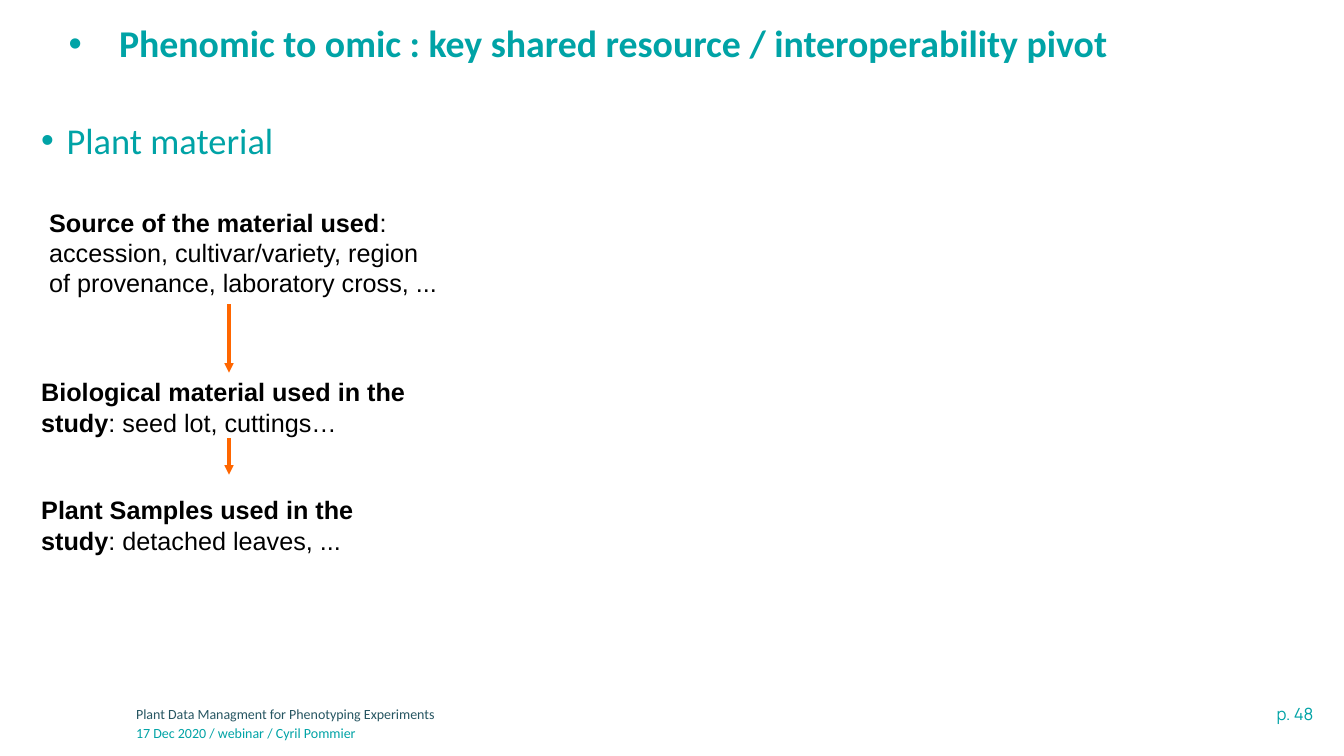
from lxml.etree import SubElement
from pptx import Presentation
from pptx.dml.color import RGBColor
from pptx.enum.shapes import MSO_CONNECTOR
from pptx.enum.text import MSO_ANCHOR, PP_ALIGN
from pptx.oxml.ns import qn
from pptx.util import Cm, Pt

TEAL, SLATE, BLACK, ORANGE = "00A3A6", "275662", "000000", "FF6600"


def colour(value):
    """Turn a hex string into a colour."""
    return RGBColor.from_string(value)


def format_span(span, size, font, shade, bold=False):
    """Set the look of one run."""
    span.font.size = Pt(size)
    span.font.name = font
    span.font.bold = bold
    span.font.color.rgb = colour(shade)


def add_box(page, left, top, width, height):
    """Add a wrapping text box, in centimetres."""
    box = page.shapes.add_textbox(Cm(left), Cm(top), Cm(width), Cm(height))
    box.text_frame.word_wrap = True
    return box


def format_bullet(para, indent, size, bold):
    """Give a paragraph a hanging bullet and the heading font."""
    properties = para._p.get_or_add_pPr()
    properties.set("marL", str(Cm(indent)))
    properties.set("indent", str(-Cm(indent)))
    SubElement(properties, qn("a:buFont")).set("typeface", "Arial")
    SubElement(properties, qn("a:buChar")).set("char", "•")
    para.line_spacing = 0.9
    para.space_before = Pt(0)
    para.alignment = PP_ALIGN.LEFT
    format_span(para.runs[0], size, "Calibri", TEAL, bold)


def add_title(page, text, left, top, width, height):
    """Place and format the title placeholder."""
    title = page.shapes.title
    title.left, title.top = Cm(left), Cm(top)
    title.width, title.height = Cm(width), Cm(height)
    frame = title.text_frame
    frame.text = text
    frame.word_wrap = True
    frame.margin_left = 0
    frame.vertical_anchor = MSO_ANCHOR.MIDDLE
    format_bullet(frame.paragraphs[0], 1.27, 27, True)


def add_topic(page, text, left, top, width, height):
    """Add the bulleted topic of the slide."""
    frame = add_box(page, left, top, width, height).text_frame
    frame.text = text
    format_bullet(frame.paragraphs[0], 0.64, 26, False)


def add_material(page, term, examples, left, top, width, height):
    """Add a bold term followed by its examples."""
    para = add_box(page, left, top, width, height).text_frame.paragraphs[0]
    for text, bold in ((term, True), (examples, False)):
        span = para.add_run()
        span.text = text
        format_span(span, 18, "Arial", BLACK, bold)


def add_arrow(page, x, top, bottom):
    """Add a downward arrow."""
    arrow = page.shapes.add_connector(
        MSO_CONNECTOR.STRAIGHT, Cm(x), Cm(top), Cm(x), Cm(bottom))
    arrow.line.color.rgb = colour(ORANGE)
    arrow.line.width = Pt(2.25)
    SubElement(arrow.line._get_or_add_ln(), qn("a:tailEnd")).set("type", "triangle")
    SubElement(arrow._element.spPr, qn("a:effectLst"))


def add_chain(page, left, top):
    """Add the chain from source to samples, joined by arrows."""
    add_material(page, "Source of the material used",
                 ": accession, cultivar/variety, region of provenance, laboratory cross, ...",
                 left + 0.2, top, 10.41, 2.57)
    add_material(page, "Biological material used in the study",
                 ": seed lot, cuttings…", left, top + 4.27, 10.35, 1.73)
    add_material(page, "Plant Samples used in the study",
                 ": detached leaves, ...", left, top + 7.24, 10.35, 1.73)
    for start, end in ((2.57, 4.29), (5.94, 6.86)):
        add_arrow(page, left + 4.98, top + start, top + end)


def add_footer(page, left, top):
    """Add the two footer lines and the page number."""
    lines = (
        ("Plant Data Managment for Phenotyping Experiments",
         0, 0.05, 18.64, 10, "Calibri", SLATE, PP_ALIGN.LEFT),
        ("17 Dec 2020 / webinar / Cyril Pommier",
         0, 0.54, 18.64, 10, "Calibri", TEAL, PP_ALIGN.LEFT),
        ("p. 48", 24.38, 0, 5.79, 12, "Manrope", TEAL, PP_ALIGN.RIGHT),
    )
    for text, across, down, width, size, font, shade, alignment in lines:
        frame = add_box(page, left + across, top + down, width, 0.7).text_frame
        frame.text = text
        para = frame.paragraphs[0]
        para.alignment = alignment
        format_span(para.runs[0], size, font, shade)


def main():
    """Build and save the slide."""
    deck = Presentation()
    deck.slide_width, deck.slide_height = Cm(33.87), Cm(19.05)
    page = deck.slides.add_slide(deck.slide_layouts[5])
    add_title(page, "Phenomic to omic : key shared resource / interoperability pivot",
              1.73, 0.08, 27.33, 2.13)
    add_topic(page, "Plant material", 0.79, 2.97, 32.59, 1.4)
    add_chain(page, 0.79, 5.1)
    add_footer(page, 3.18, 17.6)
    deck.save("out.pptx")


if __name__ == "__main__":
    main()
